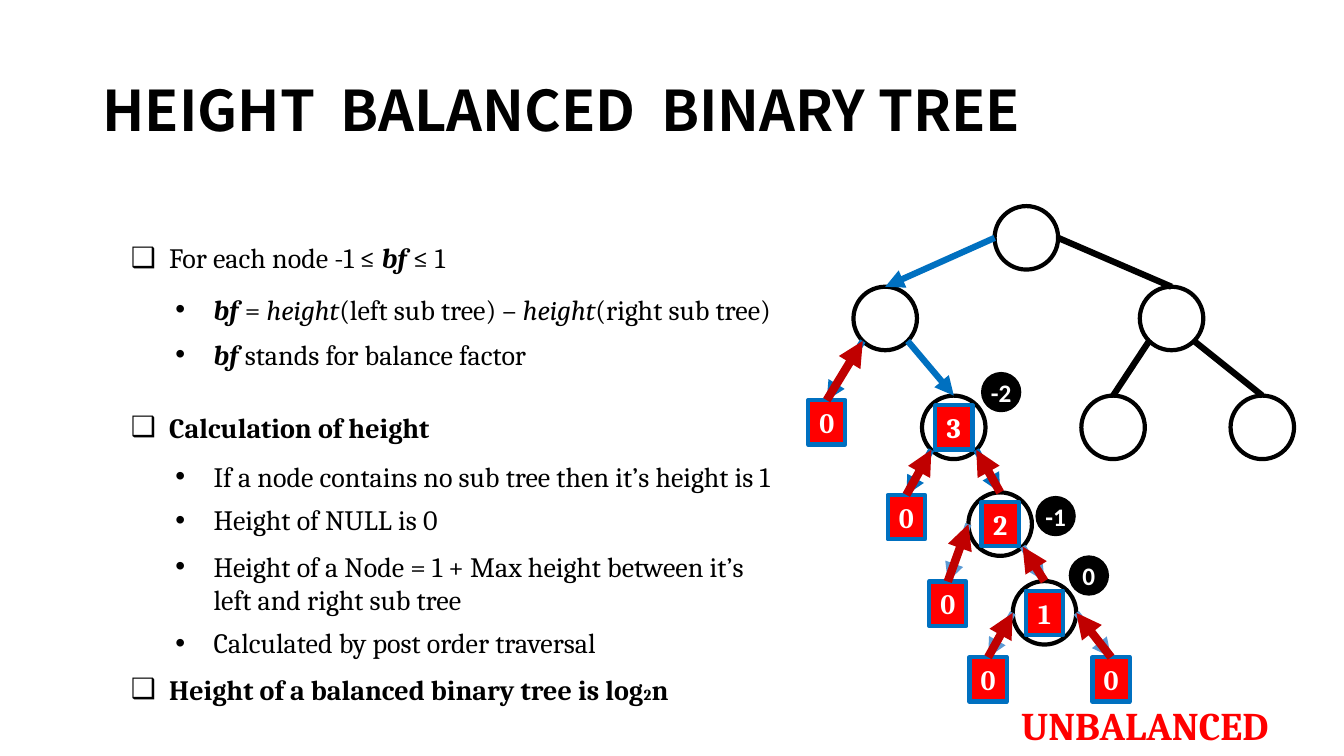
from math import sqrt

from lxml import etree
from pptx import Presentation
from pptx.dml.color import RGBColor
from pptx.enum.shapes import MSO_CONNECTOR as CONN, MSO_SHAPE as SHAPE
from pptx.enum.text import MSO_ANCHOR as ANCHOR, PP_ALIGN as ALIGN
from pptx.oxml.ns import qn
from pptx.util import Inches, Pt

COLORS = {"black": "000000", "white": "FFFFFF", "red": "FF0000",
          "dark_red": "C00000", "blue": "0070C0", "light_blue": "5B9BD5"}
BODY = {"name": "Cambria", "size": 20, "color": "black"}
BOLD, ITALIC = {"bold": True}, {"italic": True}
BF = ("bf", BOLD | ITALIC)

# left, top and width within the text region, line count, bullet, runs
POINTS = [
    (0, 0, 3.62, 1, "❑", [("For each node -1 ≤ ", {}), BF, (" ≤ 1", {})]),
    (0.44, 0.51, 6.32, 1, "•", [BF, (" = ", {}), ("height", ITALIC), ("(left sub tree) – ", {}),
                                ("height", ITALIC), ("(right sub tree)", {})]),
    (0.44, 0.96, 3.83, 1, "•", [BF, (" stands for balance factor", {})]),
    (0, 1.68, 3.22, 1, "❑", [("Calculation of height", BOLD)]),
    (0.44, 2.17, 6.37, 1, "•", [("If a node contains no sub tree then it’s height is 1", {})]),
    (0.44, 2.6, 2.88, 1, "•", [("Height of NULL is 0", {})]),
    (0.44, 3.06, 6.18, 2, "•",
     [("Height of a Node = 1 + Max height between it’s left and right sub tree", {})]),
    (0.44, 3.82, 4.61, 1, "•", [("Calculated by post order traversal", {})]),
    (0, 4.28, 5.75, 1, "❑", [("Height of a balanced binary tree is log", BOLD),
                             ("2", BOLD | {"size": 11}), ("n", BOLD)]),
]

# Node and leaf centres within the tree region
RADIUS = 0.315
LEAF_W, LEAF_H = 0.37, 0.44
BADGE = 0.4
NODES = {"root": (2.18, 0.36), "left": (0.78, 1.16), "right": (3.62, 1.16),
         "three": (1.46, 2.24), "right_left": (3.04, 2.24), "right_right": (4.52, 2.24),
         "two": (1.92, 3.2), "one": (2.36, 4.08)}
LEAVES = {"left_null": (0.2, 2.19), "three_null": (0.99, 3.13), "two_null": (1.4, 3.99),
          "one_null_left": (1.8, 4.74), "one_null_right": (3.02, 4.74)}
DIAGONAL = 1 / sqrt(2)
SIDES = {"w": (-1, 0), "e": (1, 0), "sw": (-DIAGONAL, DIAGONAL), "se": (DIAGONAL, DIAGONAL)}
# parent, side it leaves from, child, colour down, whether the height is passed back up
EDGES = [
    ("root", "e", "right", "black", False),
    ("right", "sw", "right_left", "black", False),
    ("right", "se", "right_right", "black", False),
    ("root", "w", "left", "blue", False),
    ("left", "se", "three", "blue", False),
    ("left", "sw", "left_null", "blue", True),
    ("three", "sw", "three_null", "blue", True),
    ("three", "se", "two", "blue", True),
    ("two", "se", "one", "light_blue", True),
    ("two", "w", "two_null", "light_blue", True),
    ("one", "w", "one_null_left", "light_blue", True),
    ("one", "e", "one_null_right", "light_blue", True),
]
HEIGHTS = {"three": "3", "two": "2", "one": "1"}
# balance factor and badge offset from the node centre
FACTORS = {"three": ("-2", 0.47, -0.35), "two": ("-1", 0.55, -0.08), "one": ("0", 0.44, -0.37)}


def rgb(name):
    return RGBColor.from_string(COLORS[name])


def add_run(p, text, fmt):
    r = p.add_run()
    r.text = text
    for key, value in fmt.items():
        if key == "color":
            r.font.color.rgb = rgb(value)
        else:
            setattr(r.font, key, Pt(value) if key == "size" else value)


def add_text(s, x, y, w, h, runs, wrap=False):
    tf = s.shapes.add_textbox(*map(Inches, (x, y, w, h))).text_frame
    tf.word_wrap = wrap
    p = tf.paragraphs[0]
    for text, fmt in runs:
        add_run(p, text, fmt)
    return tf


def add_bullet(p, char):
    """Give the paragraph a bullet with a hanging indent."""
    pPr = p._p.get_or_add_pPr()
    pPr.set("marL", str(Inches(0.38)))
    pPr.set("indent", str(-Inches(0.38)))
    etree.SubElement(pPr, qn("a:buFont"), typeface="Arial")
    etree.SubElement(pPr, qn("a:buChar"), char=char)


def add_centred(s, kind, cx, cy, w, h, fill=None, line=None, text="", fmt=None):
    """Add a shape around its centre, with an optional label."""
    sp = s.shapes.add_shape(kind, *map(Inches, (cx - w / 2, cy - h / 2, w, h)))
    sp.shadow.inherit = False
    if fill:
        sp.fill.solid()
        sp.fill.fore_color.rgb = rgb(fill)
    else:
        sp.fill.background()
    if line:
        sp.line.color.rgb = rgb(line)
        sp.line.width = Pt(3)
    else:
        sp.line.fill.background()
    if text:
        tf = sp.text_frame
        for key, value in {"word_wrap": False, "vertical_anchor": ANCHOR.MIDDLE, "margin_left": 0,
                           "margin_right": 0, "margin_top": 0, "margin_bottom": 0}.items():
            setattr(tf, key, value)
        tf.paragraphs[0].alignment = ALIGN.CENTER
        add_run(tf.paragraphs[0], text, fmt)


def add_line(s, start, end, color, width, arrow=True):
    c = s.shapes.add_connector(CONN.STRAIGHT, *map(Inches, (*start, *end)))
    c.line.color.rgb = rgb(color)
    c.line.width = Pt(width)
    if arrow:
        etree.SubElement(c.line._get_or_add_ln(), qn("a:tailEnd"), type="triangle")
    etree.SubElement(c._element.spPr, qn("a:effectLst"))


def add_title(s, x, y, w, h):
    fmt = {"name": "Noto Sans CJK SC", "size": 40, "color": "black", "bold": True}
    tf = add_text(s, x, y, w, h, [("HEIGHT  BALANCED  BINARY TREE", fmt)], wrap=True)
    tf.vertical_anchor = ANCHOR.MIDDLE
    tf.paragraphs[0].line_spacing = 0.9


def add_points(s, x, y):
    for dx, dy, w, lines, char, runs in POINTS:
        runs = [(text, BODY | fmt) for text, fmt in runs]
        tf = add_text(s, x + dx, y + dy, w, 0.11 + 0.33 * lines, runs, wrap=lines > 1)
        add_bullet(tf.paragraphs[0], char)


def add_tree(s, x, y):
    nodes = {name: (x + dx, y + dy) for name, (dx, dy) in NODES.items()}
    leaves = {name: (x + dx, y + dy) for name, (dx, dy) in LEAVES.items()}
    tops = {name: (cx, cy - RADIUS) for name, (cx, cy) in nodes.items()}
    tops |= {name: (cx, cy - LEAF_H / 2) for name, (cx, cy) in leaves.items()}
    label = BODY | {"color": "white", "bold": True}

    def side_point(name, side):
        return [c + RADIUS * d for c, d in zip(nodes[name], SIDES[side])]

    for centre in nodes.values():
        add_centred(s, SHAPE.OVAL, *centre, 2 * RADIUS, 2 * RADIUS, line="black")
    for parent, side, child, color, _ in EDGES:
        add_line(s, side_point(parent, side), tops[child], color, 4.5, arrow=color != "black")
    boxes = [(centre, "0") for centre in leaves.values()]
    boxes += [(nodes[name], height) for name, height in HEIGHTS.items()]
    for centre, height in boxes:
        add_centred(s, SHAPE.RECTANGLE, *centre, LEAF_W, LEAF_H, "red", "blue", height, label)
    for parent, side, child, _, returns in EDGES:
        if returns:
            add_line(s, tops[child], side_point(parent, side), "dark_red", 6)
    for name, (factor, dx, dy) in FACTORS.items():
        cx, cy = nodes[name]
        add_centred(s, SHAPE.OVAL, cx + dx, cy + dy, BADGE, BADGE, "black", None, factor,
                    label | {"name": "Calibri", "size": 18})
    add_text(s, x + 2.03, y + 4.91, 2.71, 0.57,
             [("UNBALANCED", BODY | BOLD | {"size": 28, "color": "red"})])


def main():
    prs = Presentation()
    prs.slide_width, prs.slide_height = Inches(13.33), Inches(7.5)
    s = prs.slides.add_slide(prs.slide_layouts[6])
    add_title(s, 0.92, 0.4, 11.5, 1.45)
    add_points(s, 1.2, 2.34)
    add_tree(s, 8, 2)
    prs.save("out.pptx")


if __name__ == "__main__":
    main()
